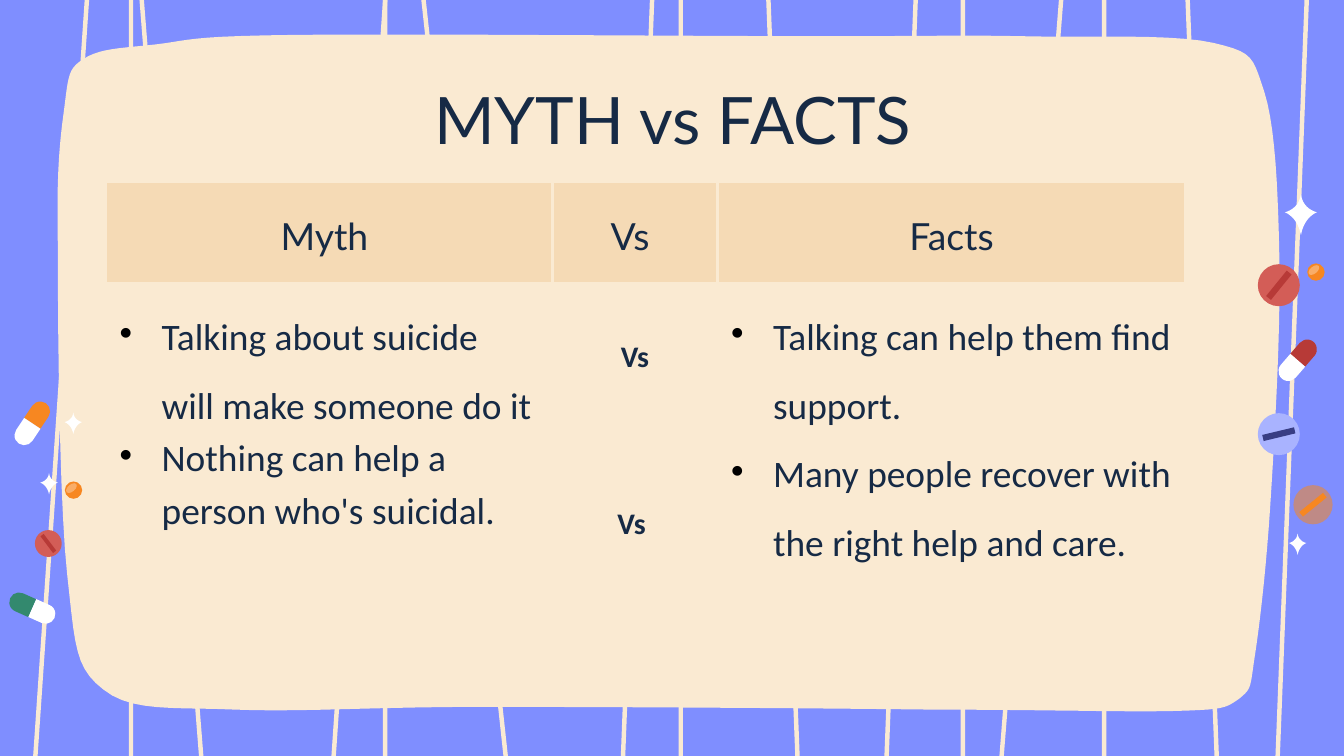
from dataclasses import dataclass
from math import cos, radians, sin

from lxml.etree import SubElement
from pptx import Presentation
from pptx.dml.color import RGBColor
from pptx.enum.shapes import MSO_SHAPE as Preset
from pptx.enum.text import MSO_ANCHOR as Anchor, PP_ALIGN as Align
from pptx.oxml.ns import qn
from pptx.slide import Slide
from pptx.util import Pt

PERIWINKLE = RGBColor(0x7F, 0x8E, 0xFF)
CREAM = RGBColor(0xFA, 0xEA, 0xD2)
PEACH = RGBColor(0xF5, 0xDA, 0xB5)
NAVY = RGBColor(0x16, 0x2A, 0x45)
WHITE = RGBColor(0xFF, 0xFF, 0xFF)
ORANGE = RGBColor(0xF7, 0x87, 0x21)
RED = RGBColor(0xD3, 0x5D, 0x57)
DARK_RED = RGBColor(0xB7, 0x3A, 0x37)
GREEN = RGBColor(0x33, 0x89, 0x6E)
LILAC = RGBColor(0xA9, 0xB3, 0xFF)
INDIGO = RGBColor(0x38, 0x3D, 0x84)

STRIPES = [
    (692.3, 2.2), (644, -2.2), (591.5, 0), (552.6, 4.5), (515.9, 0),
    (482.8, 2.2), (419.4, -2.2), (364.7, 0), (341.6, 2.2), (248.8, -6.2),
    (206.3, 0), (192.6, 3.9), (91.8, -4.5), (70.2, 0), (32.8, 3.9),
]
CARD_START = (672.5, 349.9)
CARD_CURVES = [
    (669.6, 368.6, 671, 368.6, 663.8, 374.4),
    (656.6, 379.4, 655.9, 380.2, 629.3, 380.9),
    (601.9, 381.6, 563, 380.2, 501.8, 380.2),
    (439.9, 379.4, 322.6, 378.7, 259.9, 378.7),
    (198, 378.7, 160.6, 381.6, 126.7, 380.2),
    (92.9, 378.7, 70.6, 381.6, 55.4, 369.4),
    (40.3, 357.8, 40.3, 347, 36, 307.4),
    (31.7, 267.8, 31, 172.1, 31, 130.3),
    (30.2, 88.6, 32.4, 73.4, 34.6, 56.9),
    (36.7, 40.3, 36.7, 36.7, 44.6, 31.7),
    (53.3, 25.9, 64.1, 25.9, 83.5, 23.8),
    (102.2, 21.6, 98.6, 19.4, 158.4, 18.7),
    (217.4, 18, 375.1, 19.4, 439.9, 19.4),
    (504.7, 19.4, 512.6, 18.7, 547.2, 19.4),
    (582.5, 20.2, 628.6, 18, 650.2, 23),
    (671.8, 28.1, 671, 30.2, 677.5, 49.7),
    (683.3, 68.4, 684.7, 102.2, 685.4, 137.5),
    (686.2, 173.5, 683.3, 226.8, 681.1, 262.1),
    (679, 298.1, 675.4, 331.2, 672.5, 349.9),
]
STAR_START = (0.5, 0)
STAR_CURVES = [
    (0.46, 0.38, 0, 0.45, 0, 0.45),
    (0, 0.45, 0.4, 0.55, 0.5, 1),
    (0.6, 0.55, 1, 0.45, 1, 0.45),
    (1, 0.45, 0.54, 0.38, 0.5, 0),
]
STARS = [(690.5, 285.8, 9.4, 11.5), (21.6, 253.4, 9.4, 11.5),
         (688.3, 103.7, 17.3, 22.3), (34.6, 221, 9.4, 11.5)]
TABLETS = [(685.1, 232.6, 22.5, LILAC, INDIGO, -13.5, 100),
           (25.9, 291.2, 14.4, RED, DARK_RED, 53, 100),
           (703.4, 270.4, 21, ORANGE, ORANGE, -39, 54),
           (685.1, 152.8, 22.5, RED, DARK_RED, -51, 100)]
PILLS = [(17.3, 226.8, 33.7, ORANGE), (17.3, 325.8, -66, GREEN),
         (695.2, 193, 41, DARK_RED)]
BEADS = [(39.4, 262.6), (705, 145.8)]
MYTHS = [("Talking about suicide will make someone do it", 1.5),
         ("Nothing can help a person who's suicidal.", 1.15)]
FACTS = [("Talking can help them find support.", 1.5),
         ("Many people recover with the right help and care.", 1.5)]


def trace(start, curves, steps=10):
    points = [start]
    for ax, ay, bx, by, cx, cy in curves:
        x, y = points[-1]
        for step in range(1, steps + 1):
            t = step / steps
            weights = ((1 - t) ** 3, 3 * t * (1 - t) ** 2, 3 * t * t * (1 - t), t ** 3)
            points.append(tuple(sum(w * v for w, v in zip(weights, values))
                                for values in ((x, ax, bx, cx), (y, ay, by, cy))))
    return points


@dataclass
class Painter:
    slide: Slide
    heading_font: str = "Lato"
    body_font: str = "Calibri"
    ink: RGBColor = NAVY

    def paint(self, shape, color, opacity=100):
        shape.shadow.inherit = False
        shape.line.fill.background()
        shape.fill.solid()
        shape.fill.fore_color.rgb = color
        if opacity < 100:
            tint = shape._element.spPr.find(".//" + qn("a:srgbClr"))
            SubElement(tint, qn("a:alpha")).set("val", str(opacity * 1000))

    def preset(self, kind, x, y, width, height, color, angle=0, opacity=100):
        shape = self.slide.shapes.add_shape(
            kind, Pt(x - width / 2), Pt(y - height / 2), Pt(width), Pt(height))
        shape.rotation = angle
        self.paint(shape, color, opacity)
        return shape

    def outline(self, points, color):
        corners = [(Pt(x), Pt(y)) for x, y in points]
        builder = self.slide.shapes.build_freeform(*corners[0], scale=1)
        builder.add_line_segments(corners[1:], close=True)
        self.paint(builder.convert_to_shape(), color)

    def star(self, left, top, width, height):
        self.outline([(left + x * width, top + y * height)
                      for x, y in trace(STAR_START, STAR_CURVES)], WHITE)

    def tablet(self, x, y, size, color, score_color, angle, opacity):
        self.preset(Preset.OVAL, x, y, size, size, color, opacity=opacity)
        self.preset(Preset.RECTANGLE, x, y, size * 0.78, size * 0.15, score_color, angle)

    def pill(self, x, y, angle, color, breadth=10.5, half=13):
        for turn, fill in ((angle, color), (angle + 180, WHITE)):
            end = self.preset(Preset.ROUND_2_SAME_RECTANGLE,
                              x + sin(radians(turn)) * half / 2,
                              y - cos(radians(turn)) * half / 2,
                              breadth, half, fill, turn)
            end.adjustments[0] = 0.5

    def bead(self, x, y):
        self.preset(Preset.OVAL, x, y, 9.3, 9.3, ORANGE)
        self.preset(Preset.OVAL, x - 1.1, y - 1.1, 6.8, 3.8, WHITE, -40, 32)

    def add_text(self, paragraph, text, font, size, spacing=1.0, align=Align.CENTER, bold=False):
        paragraph.alignment = align
        paragraph.line_spacing = spacing
        run = paragraph.add_run()
        run.text = text
        run.font.name = font
        run.font.size = Pt(size)
        run.font.bold = bold
        run.font.color.rgb = self.ink

    def title(self, text):
        box = self.slide.shapes.add_textbox(Pt(56.9), Pt(35.3), Pt(607), Pt(45.4))
        frame = box.text_frame
        frame.word_wrap = True
        frame.margin_left = frame.margin_right = Pt(7.2)
        frame.margin_top = frame.margin_bottom = Pt(7.2)
        self.add_text(frame.paragraphs[0], text, self.heading_font, 35)

    def table(self, left, top, widths, heights):
        table = self.slide.shapes.add_table(
            len(heights), len(widths), Pt(left), Pt(top),
            Pt(sum(widths)), Pt(sum(heights))).table
        table.first_row = table.horz_banding = False
        for column, width in zip(table.columns, widths):
            column.width = Pt(width)
        for row, height in zip(table.rows, heights):
            row.height = Pt(height)
        for cell in table.iter_cells():
            cell.margin_top = cell.margin_bottom = Pt(5)
            properties = cell._tc.get_or_add_tcPr()
            for side in ("a:lnL", "a:lnR", "a:lnT", "a:lnB"):
                border = SubElement(properties, qn(side), w=str(Pt(1.5)))
                fill = SubElement(border, qn("a:solidFill"))
                SubElement(fill, qn("a:srgbClr"), val=str(CREAM))
            cell.fill.background()
        return table

    def header(self, cell, text):
        cell.fill.solid()
        cell.fill.fore_color.rgb = PEACH
        cell.vertical_anchor = Anchor.MIDDLE
        self.add_text(cell.text_frame.paragraphs[0], text, self.heading_font, 20, 1.15)

    def lines(self, cell, count):
        frame = cell.text_frame
        return [frame.paragraphs[0]] + [frame.add_paragraph() for _ in range(count - 1)]

    def bullets(self, cell, items):
        for paragraph, (text, spacing) in zip(self.lines(cell, len(items)), items):
            properties = paragraph._p.get_or_add_pPr()
            properties.set("marL", str(Pt(22.5)))
            properties.set("indent", str(-Pt(22.5)))
            color = SubElement(properties, qn("a:buClr"))
            SubElement(color, qn("a:srgbClr"), val="000000")
            SubElement(properties, qn("a:buChar"), char="•")
            self.add_text(paragraph, text, self.body_font, 20, spacing, Align.LEFT)

    def versus(self, cell):
        cell.margin_top = Pt(27)
        first, second = self.lines(cell, 2)
        second.space_before = Pt(67)
        for paragraph, text in ((first, "Vs"), (second, "Vs ")):
            self.add_text(paragraph, text, self.body_font, 16, 1.15, bold=True)


def main():
    presentation = Presentation()
    presentation.slide_width, presentation.slide_height = Pt(720), Pt(405)
    slide = presentation.slides.add_slide(presentation.slide_layouts[6])
    slide.background.fill.solid()
    slide.background.fill.fore_color.rgb = PERIWINKLE
    painter = Painter(slide)
    for x, angle in STRIPES:
        painter.preset(Preset.RECTANGLE, x, 201.6, 2.4, 429, CREAM, angle)
    painter.outline(trace(CARD_START, CARD_CURVES), CREAM)
    for method, items in ((painter.star, STARS), (painter.tablet, TABLETS),
                          (painter.pill, PILLS), (painter.bead, BEADS)):
        for item in items:
            method(*item)
    painter.title("MYTH vs FACTS")
    table = painter.table(56.9, 97.6, (239, 88.6, 250.6), (54, 211))
    for column, text in enumerate(("Myth ", "Vs ", "Facts")):
        painter.header(table.cell(0, column), text)
    painter.bullets(table.cell(1, 0), MYTHS)
    painter.versus(table.cell(1, 1))
    painter.bullets(table.cell(1, 2), FACTS)
    presentation.save("out.pptx")


if __name__ == "__main__":
    main()
